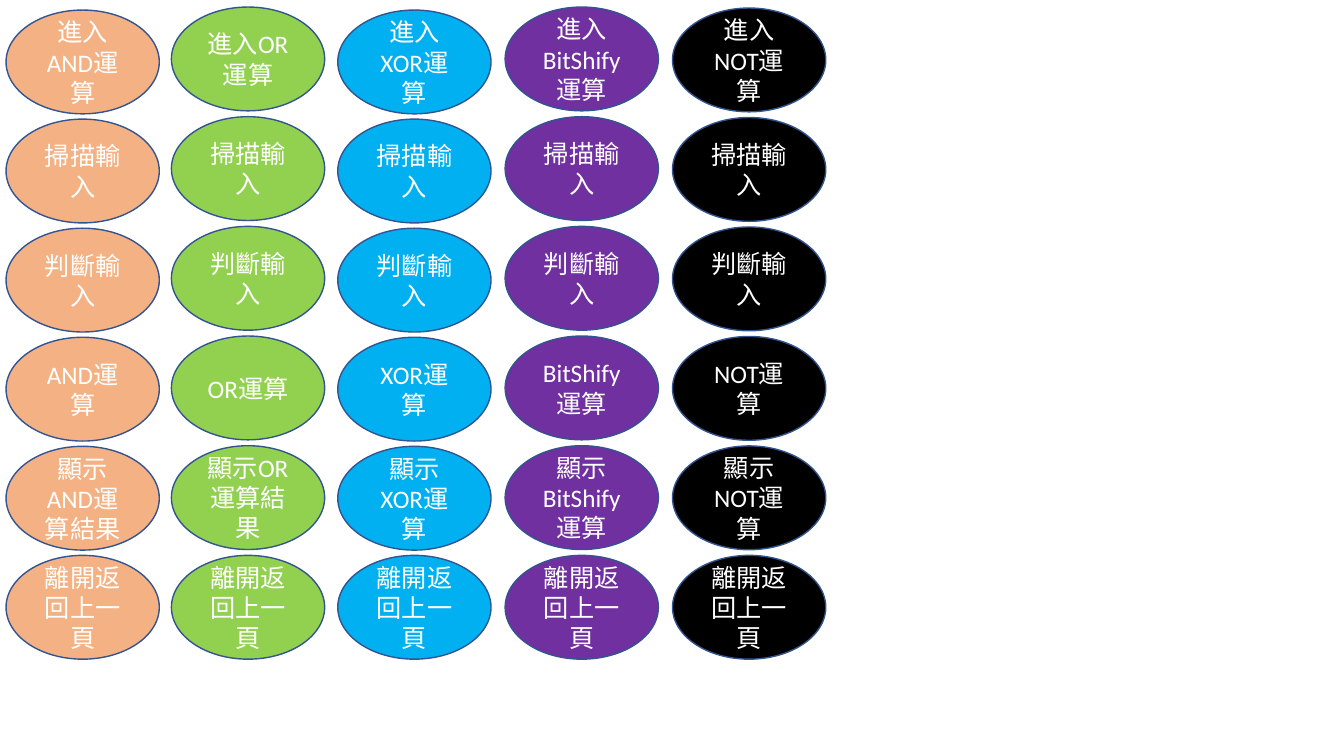
from pptx import Presentation
from pptx.dml.color import RGBColor
from pptx.enum.shapes import MSO_SHAPE
from pptx.enum.text import MSO_ANCHOR, PP_ALIGN
from pptx.util import Emu, Pt

EMU_PER_PX = 9144  # 100 px to the inch
PAGE_SIZE = (1333, 750)
OVAL_SIZE = (152, 103)
LAST_ROW_TOP = 551

COLORS = {
    "orange": "F4B183",
    "green": "92D050",
    "blue": "00B0F0",
    "purple": "7030A0",
    "black": "000000",
    "outline": "325491",
    "text": "FFFFFF",
}

# Operation, fill, left, top of first row, ending of the result step
COLUMNS = [
    ("AND", "orange", 6, 10, "結果"),
    ("OR", "green", 170, 7, "結果"),
    ("XOR", "blue", 335, 10, ""),
    ("BitShify", "purple", 501, 7, ""),
    ("NOT", "black", 667, 8, ""),
]

STEPS = [
    "進入{operation}運算",
    "掃描輸入",
    "判斷輸入",
    "{operation}運算",
    "顯示{operation}運算{ending}",
    "離開返回上一頁",
]


def px(length):
    return Emu(round(length * EMU_PER_PX))


def color(name):
    return RGBColor.from_string(COLORS[name])


class PageBuilder:
    """Holds the text style and the current slide."""

    font_format = {"name": "Calibri", "size": Pt(18)}
    frame_format = {"word_wrap": True, "vertical_anchor": MSO_ANCHOR.MIDDLE}

    def __init__(self, page):
        self.page = page

    def oval(self, text, left, top, fill):
        box = self.page.shapes.add_shape(
            MSO_SHAPE.OVAL, px(left), px(top), *map(px, OVAL_SIZE)
        )
        box.shadow.inherit = False
        box.fill.solid()
        box.fill.fore_color.rgb = color(fill)
        box.line.color.rgb = color("outline")
        box.line.width = Pt(1)

        # Centred label
        frame = box.text_frame
        for name, value in self.frame_format.items():
            setattr(frame, name, value)
        para = frame.paragraphs[0]
        para.alignment = PP_ALIGN.CENTER
        span = para.add_run()
        span.text = text
        for name, value in self.font_format.items():
            setattr(span.font, name, value)
        span.font.color.rgb = color("text")


def main():
    deck = Presentation()
    deck.slide_width, deck.slide_height = map(px, PAGE_SIZE)
    blank_layout = deck.slide_layouts.get_by_name("Blank")
    builder = PageBuilder(deck.slides.add_slide(blank_layout))

    # One column per operation, its steps spread evenly to the last row
    for operation, fill, left, first_top, ending in COLUMNS:
        pitch = (LAST_ROW_TOP - first_top) / (len(STEPS) - 1)
        for row, step in enumerate(STEPS):
            text = step.format(operation=operation, ending=ending)
            builder.oval(text, left, first_top + row * pitch, fill)

    deck.save("out.pptx")


if __name__ == "__main__":
    main()
